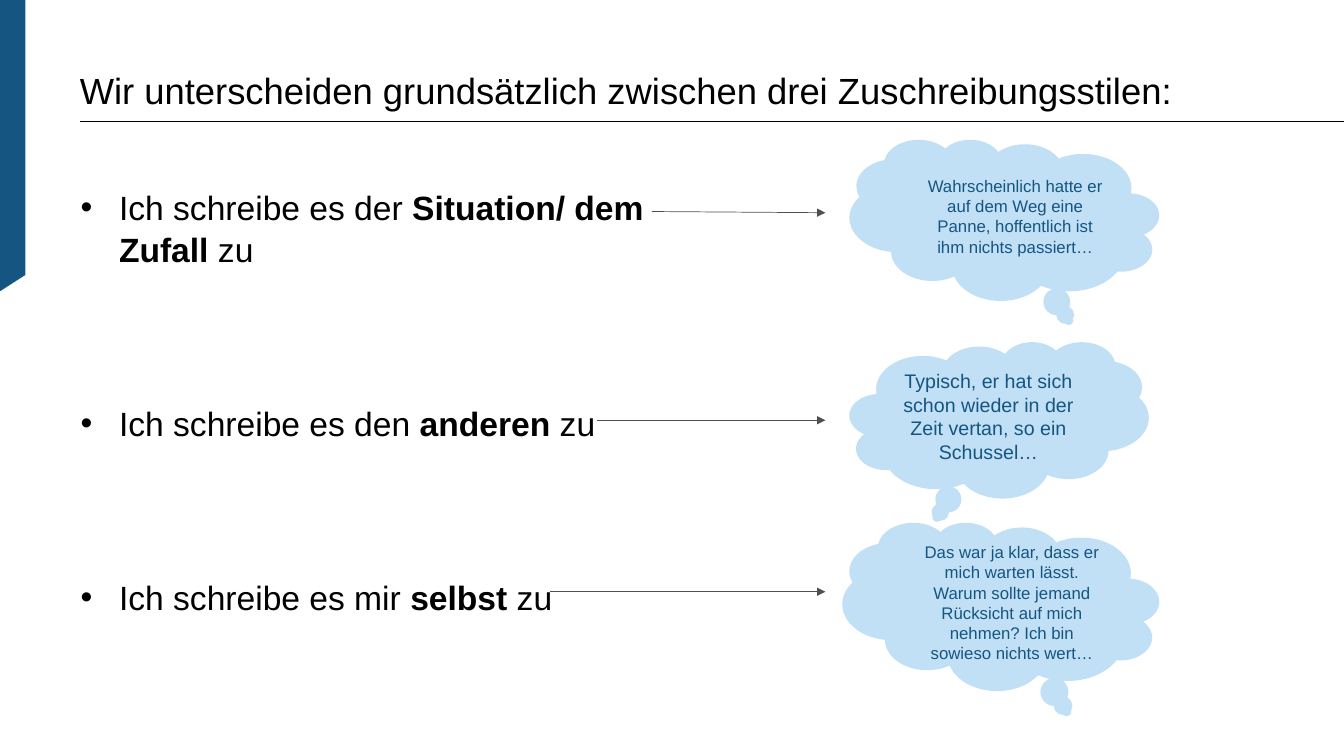
"""Build the slide on three attribution styles with matching thought clouds."""
from dataclasses import dataclass

from lxml import etree
from pptx import Presentation
from pptx.dml.color import RGBColor
from pptx.enum.shapes import MSO_CONNECTOR, MSO_SHAPE
from pptx.enum.text import MSO_ANCHOR, MSO_AUTO_SIZE, PP_ALIGN
from pptx.oxml.ns import qn
from pptx.util import Cm, Pt

STRAIGHT = MSO_CONNECTOR.STRAIGHT
CLOUD = MSO_SHAPE.CLOUD_CALLOUT
LEFT, CENTER = PP_ALIGN.LEFT, PP_ALIGN.CENTER
TOP, MIDDLE, BOTTOM = MSO_ANCHOR.TOP, MSO_ANCHOR.MIDDLE, MSO_ANCHOR.BOTTOM
NO_FIT = MSO_AUTO_SIZE.NONE

FONT = "Arial"
BLACK, GREY, NAVY, SKY = "000000", "505050", "155581", "C1E0F5"
WIDTH, HEIGHT, MARGIN = 33.87, 19.05, 2.01
ARROW_END = 20.8


@dataclass(frozen=True)
class Style:
    before: str
    stressed: str
    after: str
    arrow_left: float
    arrow_top: float
    arrow_bottom: float


@dataclass(frozen=True)
class Thought:
    text: str
    left: float
    top: float
    width: float
    height: float
    size: int
    mirrored: bool


STYLES = [
    Style("Ich schreibe es der ", "Situation/ dem Zufall", " zu", 16.43, 5.33, 5.36),
    Style("Ich schreibe es den ", "anderen", " zu", 15.04, 10.59, 10.59),
    Style("Ich schreibe es mir ", "selbst ", "zu", 13.87, 14.91, 14.91),
]
THOUGHTS = [
    Thought("Wahrscheinlich hatte er auf dem Weg eine Panne, hoffentlich ist ihm "
            "nichts passiert…", 21.41, 3.51, 7.8, 4.06, 12, True),
    Thought("Typisch, er hat sich schon wieder in der Zeit vertan, so ein Schussel…",
            21.41, 8.61, 7.54, 3.94, 14, False),
    Thought("Das war ja klar, dass er mich warten lässt. Warum sollte jemand Rücksicht "
            "auf mich nehmen? Ich bin sowieso nichts wert…",
            21.23, 13.16, 7.98, 4.24, 12, True),
]


def rgb(value: str) -> RGBColor:
    """Turn a hex string into a colour."""
    return RGBColor.from_string(value)


def add_text(para, text: str, *, size: int, color: str = BLACK, bold: bool = False) -> None:
    """Add a formatted span of text to a paragraph."""
    span = para.add_run()
    span.text = text
    span.font.name = FONT
    span.font.size = Pt(size)
    span.font.bold = bold
    span.font.color.rgb = rgb(color)


def place(box, left: float, top: float, width: float, height: float) -> None:
    """Move and size a placeholder."""
    box.left, box.top = Cm(left), Cm(top)
    box.width, box.height = Cm(width), Cm(height)


def prepare_frame(box, anchor):
    """Clear the insets of a placeholder and return its text frame."""
    frame = box.text_frame
    frame.word_wrap = True
    frame.auto_size = NO_FIT
    frame.vertical_anchor = anchor
    frame.margin_left = frame.margin_right = frame.margin_top = frame.margin_bottom = 0
    return frame


def add_line(page, left: float, top: float, right: float, bottom: float,
             *, color: str, arrow: bool = False) -> None:
    """Draw a thin line, with an arrowhead at its end on request."""
    line = page.shapes.add_connector(STRAIGHT, Cm(left), Cm(top), Cm(right), Cm(bottom))
    line.line.color.rgb = rgb(color)
    line.line.width = Pt(0.5)
    if arrow:
        etree.SubElement(line.line._get_or_add_ln(), qn("a:tailEnd"), type="triangle")
    etree.SubElement(line._element.spPr, qn("a:effectLst"))


def add_ribbon(page) -> None:
    """Draw the slanted ribbon at the left edge."""
    builder = page.shapes.build_freeform(0, 0)
    builder.add_line_segments(
        [(Cm(0.64), 0), (Cm(0.64), Cm(6.93)), (0, Cm(7.34))], close=True)
    ribbon = builder.convert_to_shape()
    ribbon.shadow.inherit = False
    ribbon.fill.solid()
    ribbon.fill.fore_color.rgb = rgb(NAVY)
    ribbon.line.fill.background()


def fill_title(page) -> None:
    """Write the slide title."""
    title = page.shapes.title
    place(title, MARGIN, 0, 29.87, 2.82)
    para = prepare_frame(title, BOTTOM).paragraphs[0]
    para.alignment = LEFT
    para.line_spacing = 0.9
    add_text(para, "Wir unterscheiden grundsätzlich zwischen drei Zuschreibungsstilen:",
             size=26)


def fill_body(page) -> None:
    """Write the attribution styles as a widely spaced bullet list."""
    body = page.placeholders[1]
    place(body, MARGIN, 4.65, 14.43, 12.9)
    frame = prepare_frame(body, TOP)
    for index, style in enumerate(STYLES):
        para = frame.add_paragraph() if index else frame.paragraphs[0]
        props = para._p.get_or_add_pPr()
        props.set("marL", str(Cm(0.99)))
        props.set("indent", str(Cm(-0.97)))
        etree.SubElement(props, qn("a:buFont"), typeface=FONT)
        etree.SubElement(props, qn("a:buChar"), char="•")
        para.line_spacing = 1.05
        para.space_before = Pt(94 if index else 0)
        add_text(para, style.before, size=24)
        add_text(para, style.stressed, size=24, bold=True)
        add_text(para, style.after, size=24)


def add_thought(page, thought: Thought) -> None:
    """Draw a thought cloud with its text."""
    cloud = page.shapes.add_shape(CLOUD, Cm(thought.left), Cm(thought.top),
                                  Cm(thought.width), Cm(thought.height))
    cloud.shadow.inherit = False
    cloud.fill.solid()
    cloud.fill.fore_color.rgb = rgb(SKY)
    cloud.line.fill.background()
    if thought.mirrored:
        cloud._element.spPr.get_or_add_xfrm().set("flipH", "1")
    frame = cloud.text_frame
    frame.word_wrap = True
    frame.vertical_anchor = MIDDLE
    para = frame.paragraphs[0]
    para.alignment = CENTER
    add_text(para, thought.text, size=thought.size, color=NAVY)


def main() -> None:
    """Build and save the deck."""
    deck = Presentation()
    deck.slide_width, deck.slide_height = Cm(WIDTH), Cm(HEIGHT)
    page = deck.slides.add_slide(deck.slide_layouts[1])
    add_ribbon(page)
    add_line(page, MARGIN, 3.05, WIDTH, 3.05, color=BLACK)
    fill_title(page)
    fill_body(page)
    for style in STYLES:
        add_line(page, style.arrow_left, style.arrow_top, ARROW_END, style.arrow_bottom,
                 color=GREY, arrow=True)
    for thought in THOUGHTS:
        add_thought(page, thought)
    deck.save("out.pptx")


if __name__ == "__main__":
    main()
